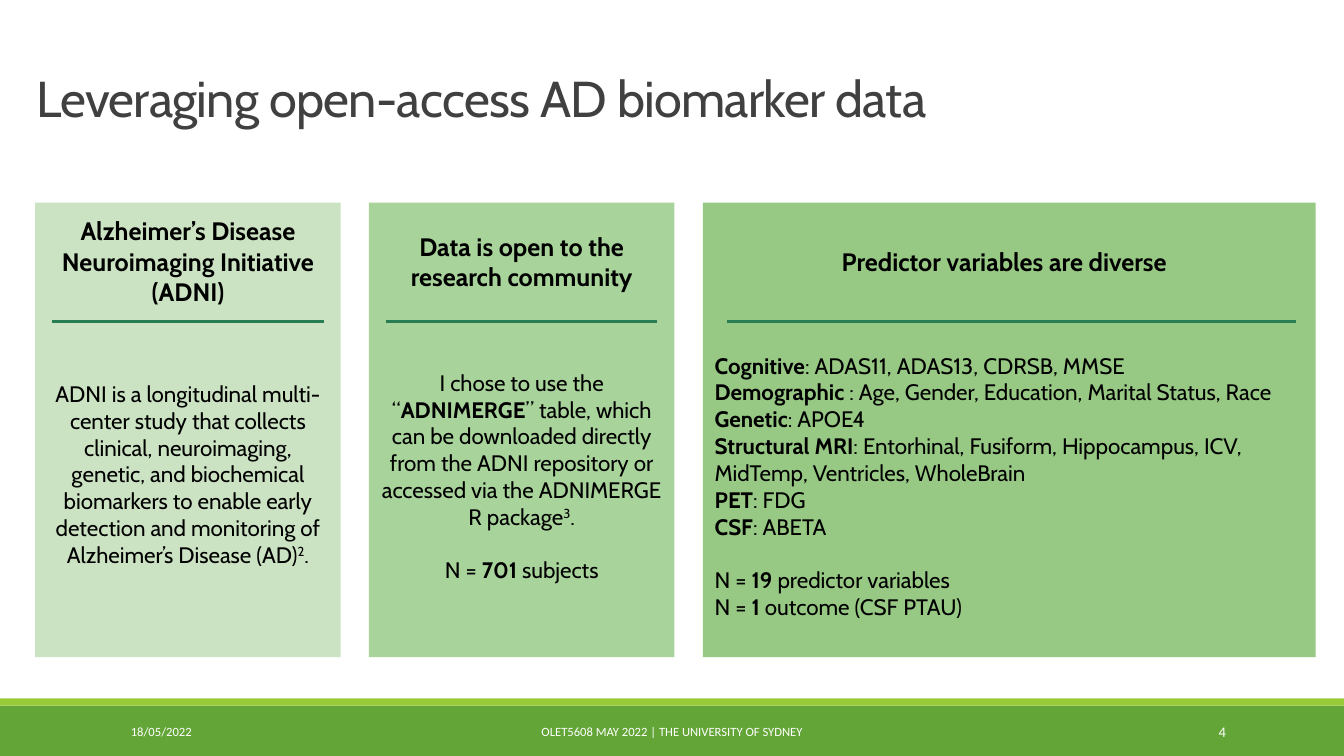
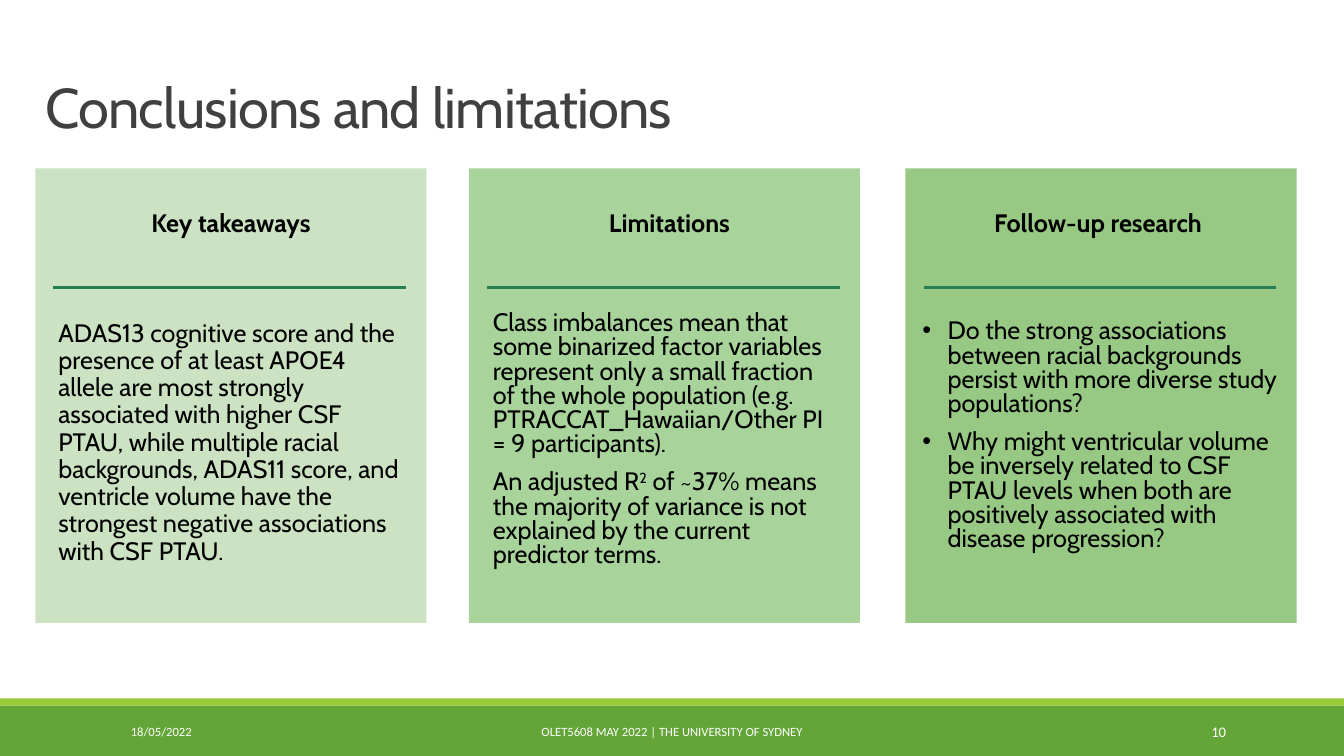
from dataclasses import dataclass

from lxml.etree import SubElement
from pptx import Presentation
from pptx.dml.color import RGBColor
from pptx.enum.shapes import MSO_CONNECTOR, MSO_SHAPE
from pptx.enum.text import MSO_ANCHOR, MSO_AUTO_SIZE, PP_ALIGN
from pptx.oxml.ns import qn
from pptx.util import Pt

SCALE = 9144
WIDE, HIGH = 1333, 750
LEFT, MID, RIGHT = PP_ALIGN.LEFT, PP_ALIGN.CENTER, PP_ALIGN.RIGHT


@dataclass(frozen=True)
class Theme:
    font: str = "Cabin"
    small: str = "Calibri"
    ink: str = "000000"
    title: str = "404040"
    pale: str = "FFFFFF"
    band: str = "63A537"
    strip: str = "99CB38"
    rule: str = "297D53"
    cards: tuple = ("CBE3C2", "A8D39A", "97C984")
    head: int = 18
    body: int = 16
    large: int = 18
    foot: float = 9
    page: float = 10.5
    weight: float = 2.25


THEME = Theme()


def px(*sizes):
    return [size * SCALE for size in sizes]


def tint(code):
    return RGBColor.from_string(code)


def add_run(para, text, size, color, font, bold, raised, track):
    run = para.add_run()
    run.text = text
    run.font.size = Pt(size)
    run.font.name = font
    run.font.bold = bold
    run.font.color.rgb = tint(color)
    props = run.font._element
    if raised:
        props.set("baseline", "30000")
    if track:
        props.set("spc", str(track))


def add_dot(para, indent):
    props = para._p.get_or_add_pPr()
    props.set("marL", str(indent * SCALE))
    props.set("indent", str(-indent * SCALE))
    SubElement(props, qn("a:buFont")).set("typeface", "Arial")
    SubElement(props, qn("a:buChar")).set("char", "•")


def write(frame, text, size=THEME.body, color=THEME.ink, font=THEME.font,
          bold=False, align=LEFT, anchor=MSO_ANCHOR.TOP, lines=None,
          before=0, gap=19, track=0, indent=0):
    """Stars mark bold, carets mark superscript, an empty line marks a gap."""
    frame.word_wrap = True
    frame.auto_size = MSO_AUTO_SIZE.NONE
    frame.vertical_anchor = anchor
    rows = [(line, gap if block and not row else before)
            for block, part in enumerate(text.split("\n\n"))
            for row, line in enumerate(part.split("\n"))]
    for index, (line, space) in enumerate(rows):
        para = frame.add_paragraph() if index else frame.paragraphs[0]
        para.alignment = align
        para.space_before = Pt(space)
        if lines:
            para.line_spacing = lines
        if indent:
            add_dot(para, indent)
        for star, part in enumerate(line.split("*")):
            for hat, bit in enumerate(part.split("^")):
                if bit:
                    add_run(para, bit, size, color, font,
                            bold or star % 2 == 1, hat % 2 == 1, track)


class Deck:
    def __init__(self, theme):
        self.theme = theme
        self.show = Presentation()
        self.show.slide_width, self.show.slide_height = px(WIDE, HIGH)
        self.slide = None

    def start(self, title, box, size, page):
        self.slide = self.show.slides.add_slide(self.show.slide_layouts[5])
        head = self.slide.shapes.title
        head.left, head.top, head.width, head.height = px(*box)
        write(head.text_frame, title, size=size, color=self.theme.title,
              anchor=MSO_ANCHOR.BOTTOM, lines=0.85, track=-50)
        self.footer(page)

    def footer(self, page):
        look = self.theme
        self.block((0, 700, WIDE, 50), look.band)
        self.block((0, 693, WIDE, 7), look.strip)
        notes = [
            ("18/05/2022", 120, 270, look.foot, LEFT),
            ("OLET5608 MAY 2022 | THE UNIVERSITY OF SYDNEY", 403, 527, look.foot, MID),
            (str(page), 1083, 143, look.page, RIGHT),
        ]
        for text, left, width, size, align in notes:
            self.text((left, 706, width, 40), text, size=size, align=align,
                      color=look.pale, font=look.small, anchor=MSO_ANCHOR.MIDDLE)

    def block(self, box, fill):
        shape = self.slide.shapes.add_shape(MSO_SHAPE.RECTANGLE, *px(*box))
        shape.shadow.inherit = False
        shape.fill.solid()
        shape.fill.fore_color.rgb = tint(fill)
        shape.line.fill.background()

    def text(self, box, text, **form):
        write(self.slide.shapes.add_textbox(*px(*box)).text_frame, text, **form)

    def rule(self, start, end, top):
        line = self.slide.shapes.add_connector(
            MSO_CONNECTOR.STRAIGHT, *px(start, top, end, top))
        line.line.color.rgb = tint(self.theme.rule)
        line.line.width = Pt(self.theme.weight)
        SubElement(line._element.spPr, qn("a:effectLst"))

    def card(self, box, fill, head, rule, shift=0, drop=58):
        left, top, width, _ = box
        self.block(box, fill)
        self.text((left + shift, top + drop - 55, width, 110), head, bold=True,
                  size=self.theme.head, align=MID, anchor=MSO_ANCHOR.MIDDLE)
        self.rule(*rule, top + 118)


def add_data(deck):
    deck.start("Leveraging open-access AD biomarker data", (26, 50, 1150, 82), 36, 4)
    cards = [
        (35, 303, "Alzheimer’s Disease Neuroimaging Initiative (ADNI)", (52, 321), 0,
         (35, 372, 303, 199), MID,
         "ADNI is a longitudinal multi-center study that collects clinical, "
         "neuroimaging, genetic, and biochemical biomarkers to enable early "
         "detection and monitoring of Alzheimer’s Disease (AD)^2^."),
        (366, 303, "Data is open to the research community", (383, 652), 0,
         (366, 361, 303, 226), MID,
         "I chose to use the “*ADNIMERGE*” table, which can be downloaded directly "
         "from the ADNI repository or accessed via the ADNIMERGE R package^3^."
         "\n\nN = *701* subjects"),
        (697, 608, "Predictor variables are diverse", (721, 1285), -5,
         (699, 344, 608, 279), LEFT,
         "*Cognitive*: ADAS11, ADAS13, CDRSB, MMSE\n"
         "*Demographic* : Age, Gender, Education, Marital Status, Race\n"
         "*Genetic*: APOE4\n"
         "*Structural MRI*: Entorhinal, Fusiform, Hippocampus, ICV, MidTemp, "
         "Ventricles, WholeBrain\n"
         "*PET*: FDG\n*CSF*: ABETA\n\n"
         "N = *19* predictor variables\nN = *1* outcome (CSF PTAU)"),
    ]
    for fill, (left, width, head, rule, shift, box, align, body) in zip(
            deck.theme.cards, cards):
        deck.card((left, 201, width, 451), fill, head, rule, shift)
        deck.text(box, body, align=align)


def add_end(deck):
    deck.start("Conclusions and limitations", (35, -1, 1150, 145), 40, 10)
    cards = [
        (35, "Key takeaways", 0, (48, 313, 362, 265), 0.9, 0,
         "ADAS13 cognitive score and the presence of at least APOE4 allele are most "
         "strongly associated with higher CSF PTAU, while multiple racial "
         "backgrounds, ADAS11 score, and ventricle volume have the strongest "
         "negative associations with CSF PTAU."),
        (465, "Limitations", 5, (479, 305, 362, 294), 0.8, 0,
         "Class imbalances mean that some binarized factor variables represent only "
         "a small fraction of the whole population (e.g. PTRACCAT_Hawaiian/Other PI "
         "= 9 participants).\n"
         "An adjusted R^2^ of ~37% means the majority of variance is not explained "
         "by the current predictor terms."),
        (898, "Follow-up research", -3, (905, 313, 375, 265), 0.8, 25,
         "Do the strong associations between racial backgrounds persist with more "
         "diverse study populations?\n"
         "Why might ventricular volume be inversely related to CSF PTAU levels when "
         "both are positively associated with disease progression?"),
    ]
    for fill, (left, head, shift, box, lines, indent, body) in zip(
            deck.theme.cards, cards):
        deck.card((left, 167, 388, 451), fill, head, (left + 18, left + 368),
                  shift, 54)
        deck.text(box, body, size=deck.theme.large, lines=lines, before=10,
                  indent=indent)


def main():
    deck = Deck(THEME)
    add_data(deck)
    add_end(deck)
    deck.show.save("out.pptx")


if __name__ == "__main__":
    main()
